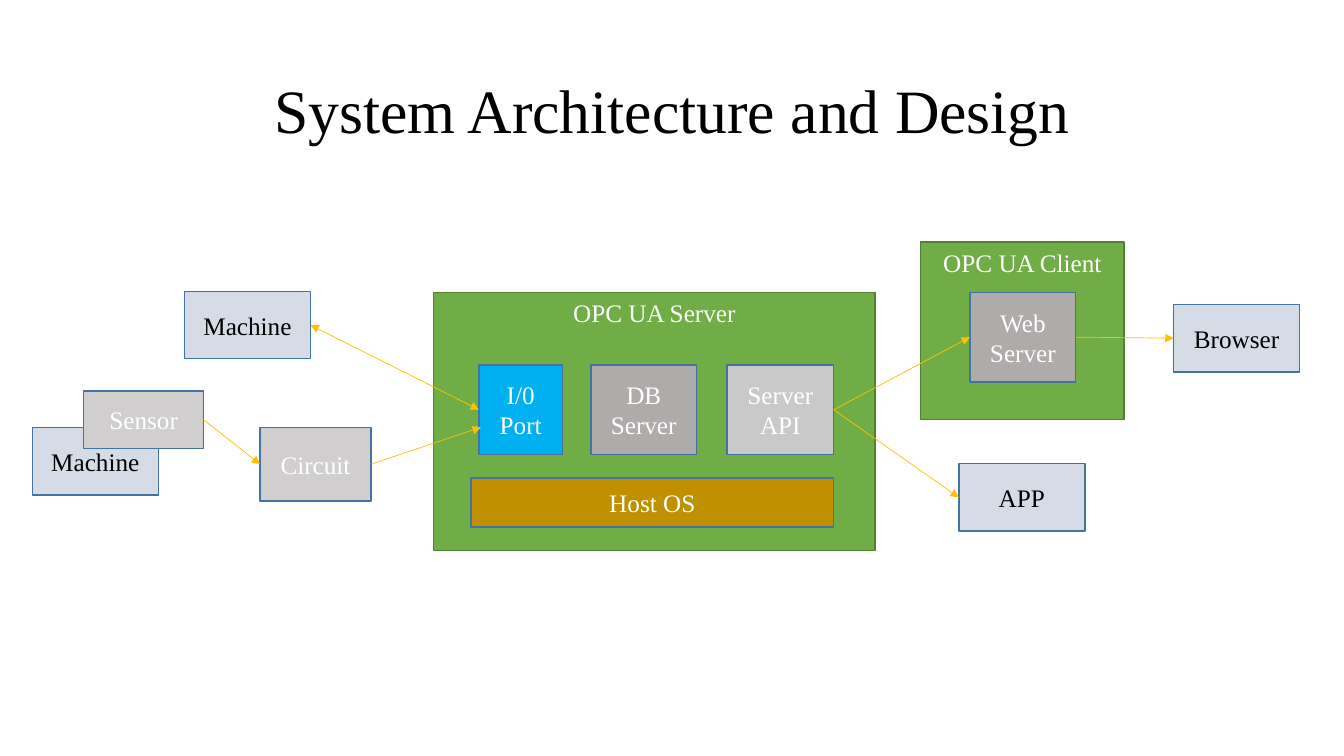
from lxml import etree
from pptx import Presentation
from pptx.dml.color import RGBColor
from pptx.enum.shapes import MSO_CONNECTOR, MSO_SHAPE
from pptx.enum.text import MSO_ANCHOR, PP_ALIGN
from pptx.oxml.ns import qn
from pptx.util import Pt

RECTANGLE = MSO_SHAPE.RECTANGLE
STRAIGHT = MSO_CONNECTOR.STRAIGHT
TOP, MIDDLE = MSO_ANCHOR.TOP, MSO_ANCHOR.MIDDLE
CENTER = PP_ALIGN.CENTER
LEFT_SITE, RIGHT_SITE = 1, 3

EMU_PER_PX = 9144
BLACK, WHITE = "000000", "FFFFFF"
ENDPOINT, DEVICE, SERVICE, API = "D6DCE5", "D0CECE", "AFABAB", "C9C9C9"
GREEN, DARK_GREEN, BLUE = "70AD47", "538035", "43739E"
PORT, PLATFORM, FLOW = "00B0F0", "BF9000", "FFC000"


def px(length):
    return length * EMU_PER_PX


def color(hex_code):
    return RGBColor.from_string(hex_code)


def write(frame, text, size=18, ink=WHITE, font="Times New Roman", anchor=MIDDLE, spacing=1.0):
    frame.word_wrap = True
    frame.vertical_anchor = anchor
    frame.text = text
    for paragraph in frame.paragraphs:
        paragraph.alignment = CENTER
        paragraph.line_spacing = spacing
        for run in paragraph.runs:
            run.font.name = font
            run.font.size = Pt(size)
            run.font.color.rgb = color(ink)


class Diagram:
    def __init__(self, slide, outline=BLUE, flow=FLOW):
        self.shapes = slide.shapes
        self.outline = outline
        self.flow = flow

    def title(self, text, *bounds):
        heading = self.shapes.add_textbox(*map(px, bounds))
        write(heading.text_frame, text, size=44, ink=BLACK, spacing=0.9)

    def box(self, text, left, top, width, height, fill, outline=None, **text_format):
        node = self.shapes.add_shape(RECTANGLE, *map(px, (left, top, width, height)))
        node.shadow.inherit = False
        node.fill.solid()
        node.fill.fore_color.rgb = color(fill)
        node.line.color.rgb = color(outline or self.outline)
        node.line.width = Pt(1)
        write(node.text_frame, text, **text_format)
        return node

    def endpoint(self, text, left, top):
        return self.box(text, left, top, 125, 67, ENDPOINT, ink=BLACK)

    def container(self, text, *bounds):
        return self.box(text, *bounds, GREEN, outline=DARK_GREEN, anchor=TOP)

    def arrow(self, source, target, both_ways=False, entry=None):
        link = self.shapes.add_connector(STRAIGHT, 0, 0, 0, 0)
        link.begin_connect(source, RIGHT_SITE)
        if entry:
            link.end_x, link.end_y = map(px, entry)
        else:
            link.end_connect(target, LEFT_SITE)
        link.line.color.rgb = color(self.flow)
        link.line.width = Pt(0.5)
        stroke = link.line._get_or_add_ln()
        for end in ("a:headEnd", "a:tailEnd") if both_ways else ("a:tailEnd",):
            etree.SubElement(stroke, qn(end), type="triangle")
        etree.SubElement(link._element.spPr, qn("a:effectLst"))


def main():
    deck = Presentation()
    deck.slide_width, deck.slide_height = px(1333), px(750)
    diagram = Diagram(deck.slides.add_slide(deck.slide_layouts[6]))

    diagram.title("System Architecture and Design", 92, 40, 1150, 145)

    machine = diagram.endpoint("Machine", 183, 289)
    diagram.endpoint("Machine", 32, 424)
    sensor = diagram.box("Sensor", 83, 388, 119, 57, DEVICE)
    controller = diagram.box("Circuit", 258, 424, 110, 73, DEVICE)

    diagram.container("OPC UA Server", 430, 290, 438, 256)
    diagram.box("Host OS", 467, 474, 360, 49, PLATFORM)
    io_port = diagram.box("I/0\nPort", 475, 362, 83, 89, PORT)
    diagram.box("DB Server", 586, 362, 105, 89, SERVICE)
    server_api = diagram.box("Server\nAPI", 721, 362, 106, 89, API)

    diagram.container("OPC UA Client", 913, 240, 202, 176)
    web_server = diagram.box("Web Server", 962, 290, 105, 89, SERVICE)
    app = diagram.endpoint("APP", 951, 460)
    browser = diagram.endpoint("Browser", 1164, 302)

    diagram.arrow(machine, io_port, both_ways=True)
    diagram.arrow(sensor, controller)
    diagram.arrow(controller, io_port, entry=(477, 424))
    diagram.arrow(web_server, browser)
    diagram.arrow(server_api, web_server)
    diagram.arrow(server_api, app)

    deck.save("out.pptx")


if __name__ == "__main__":
    main()
